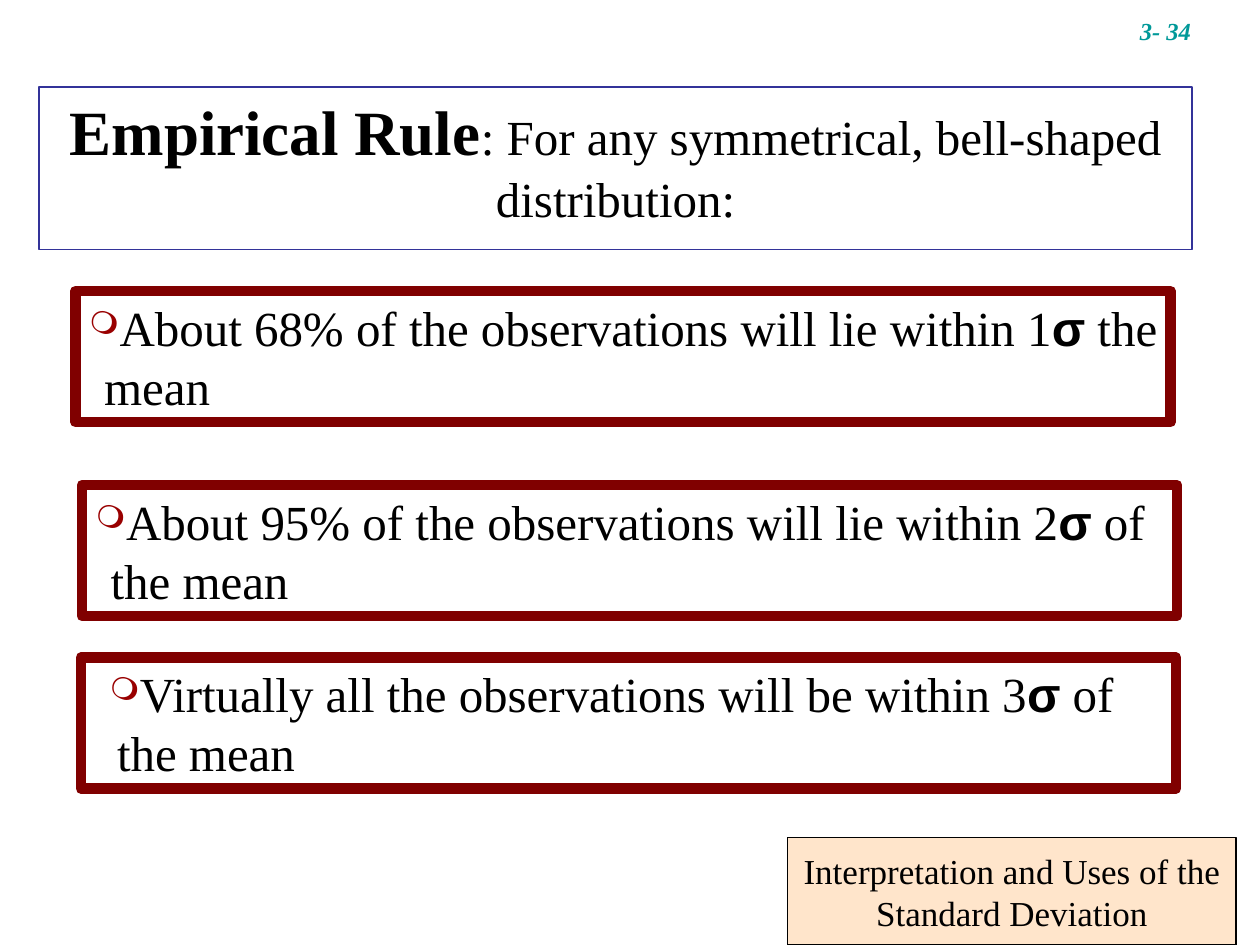
from lxml import etree
from pptx import Presentation
from pptx import util as u
from pptx.dml.color import RGBColor
from pptx.enum import shapes, text
from pptx.oxml import ns

BLACK = RGBColor(0x00, 0x00, 0x00)
WHITE = RGBColor(0xFF, 0xFF, 0xFF)
NAVY = RGBColor(0x33, 0x33, 0x99)
MAROON = RGBColor(0x80, 0x00, 0x00)
BULLET_RED = RGBColor(0x99, 0x00, 0x00)
PEACH = RGBColor(0xFF, 0xCC, 0x99)
TEAL = RGBColor(0x00, 0x99, 0x99)


class SlideBuilder:
    font_name = "Times New Roman"
    symbol_font = "Arial"
    body_size = u.Pt(28)

    def __init__(self, slide):
        self.slide = slide

    def style(self, font, size, color=BLACK, bold=False, italic=False):
        font.name, font.size = self.font_name, size
        font.bold, font.italic = bold, italic
        font.color.rgb = color

    def place(self, shape, left, top, width, height):
        shape.left, shape.top = u.Cm(left), u.Cm(top)
        shape.width, shape.height = u.Cm(width), u.Cm(height)

    def box(self, left, top, width, height, line_color, line_width):
        """Add a white framed box and return its first paragraph."""
        shape = self.slide.shapes.add_shape(
            shapes.MSO_SHAPE.RECTANGLE,
            u.Cm(left), u.Cm(top), u.Cm(width), u.Cm(height))
        shape.shadow.inherit = False
        shape.fill.solid()
        shape.fill.fore_color.rgb = WHITE
        shape.line.color.rgb = line_color
        shape.line.width = u.Pt(line_width)
        shape.text_frame.word_wrap = True
        shape.text_frame.vertical_anchor = text.MSO_ANCHOR.TOP
        return shape.text_frame.paragraphs[0]

    def heading(self, term, rest, *position):
        paragraph = self.box(*position, NAVY, 1)
        paragraph.alignment = text.PP_ALIGN.CENTER
        for words, size, bold in ((term, u.Pt(36), True),
                                  (rest, self.body_size, False)):
            run = paragraph.add_run()
            run.text = words
            self.style(run.font, size, bold=bold)

    def bullet(self, paragraph, margin, indent):
        properties = paragraph._p.get_or_add_pPr()
        properties.set("marL", str(u.Cm(margin)))
        properties.set("indent", str(u.Cm(indent)))
        color = etree.SubElement(properties, ns.qn("a:buClr"))
        etree.SubElement(color, ns.qn("a:srgbClr"), val=str(BULLET_RED))
        etree.SubElement(properties, ns.qn("a:buSzPct"), val="65000")
        etree.SubElement(properties, ns.qn("a:buChar"), char="❍")

    def rule(self, before, after, left, top, margin, indent):
        """Add a framed bullet with a bold sigma between two phrases."""
        paragraph = self.box(left, top, 22.08, 2.64, MAROON, 6)
        paragraph.alignment = text.PP_ALIGN.LEFT
        self.bullet(paragraph, margin, indent)
        for words in (before, "σ", after):
            run = paragraph.add_run()
            run.text = words
            self.style(run.font, self.body_size, bold=words == "σ")
            if words == "σ":
                run.font.name = self.symbol_font

    def title(self, words, *position):
        title = self.slide.shapes.title
        self.place(title, *position)
        title.fill.solid()
        title.fill.fore_color.rgb = PEACH
        color = title.fill._xPr.find(".//" + ns.qn("a:srgbClr"))
        etree.SubElement(color, ns.qn("a:alpha"), val="50000")
        title.line.color.rgb = BLACK
        title.line.width = u.Pt(0.75)
        frame = title.text_frame
        frame.word_wrap = True
        frame.auto_size = text.MSO_AUTO_SIZE.NONE
        frame.vertical_anchor = text.MSO_ANCHOR.MIDDLE
        paragraph = frame.paragraphs[0]
        paragraph.text = words
        paragraph.alignment = text.PP_ALIGN.CENTER
        self.style(paragraph.font, u.Pt(20))

    def page_number(self, words, *position):
        label = self.slide.shapes.add_textbox(*map(u.Cm, position))
        label.text_frame.word_wrap = True
        paragraph = label.text_frame.paragraphs[0]
        paragraph.text = words
        self.style(paragraph.font, u.Pt(14), TEAL, bold=True, italic=True)


def main():
    presentation = Presentation()
    presentation.slide_width, presentation.slide_height = u.Cm(25.4), u.Cm(19.05)
    slide = presentation.slides.add_slide(presentation.slide_layouts[5])
    builder = SlideBuilder(slide)

    # Statement of the rule
    builder.heading("Empirical Rule",
                    ": For any symmetrical, bell-shaped distribution:",
                    0.79, 1.75, 23.24, 3.28)

    # Shares within one, two and three standard deviations
    share = "About {}% of the observations will lie within {}"
    builder.rule(share.format(68, 1), " the mean", 1.52, 5.87, 0.33, -0.3)
    builder.rule(share.format(95, 2), " of the mean", 1.65, 9.78, 0.33, -0.3)
    builder.rule("Virtually all the observations will be within 3",
                 " of the mean", 1.63, 13.26, 0.48, -0.15)

    # Section title and page number
    builder.title("Interpretation and Uses of the\vStandard Deviation",
                  15.88, 16.89, 9.04, 2.16)
    builder.page_number("3- 34", 22.73, 0.2, 2.5, 0.86)

    presentation.save("out.pptx")


if __name__ == "__main__":
    main()
